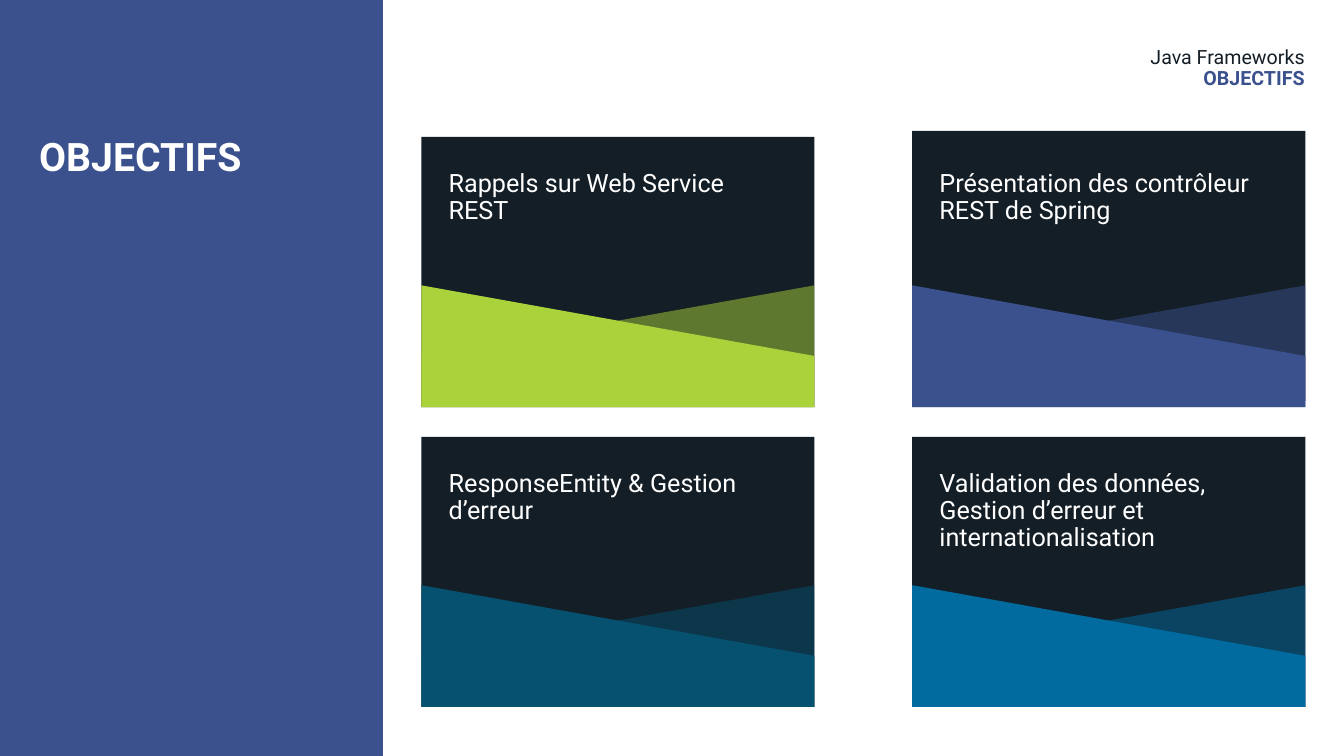
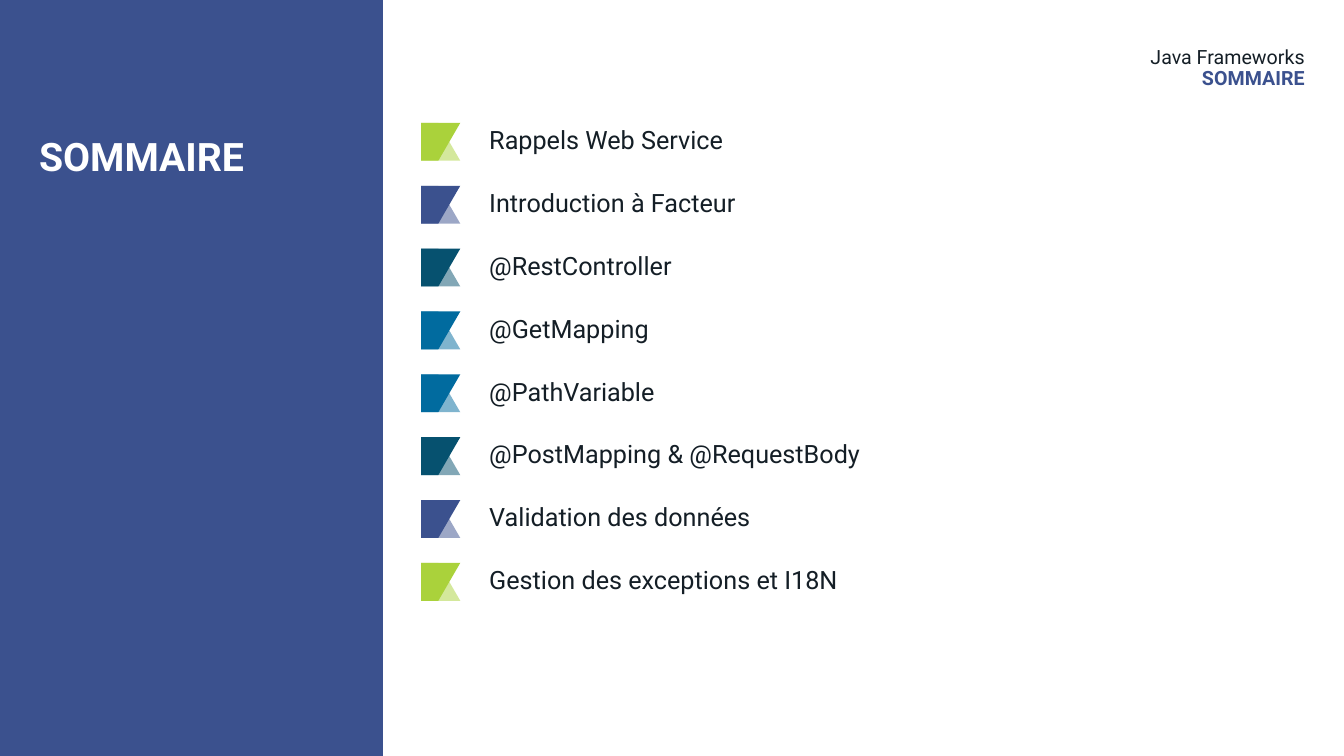
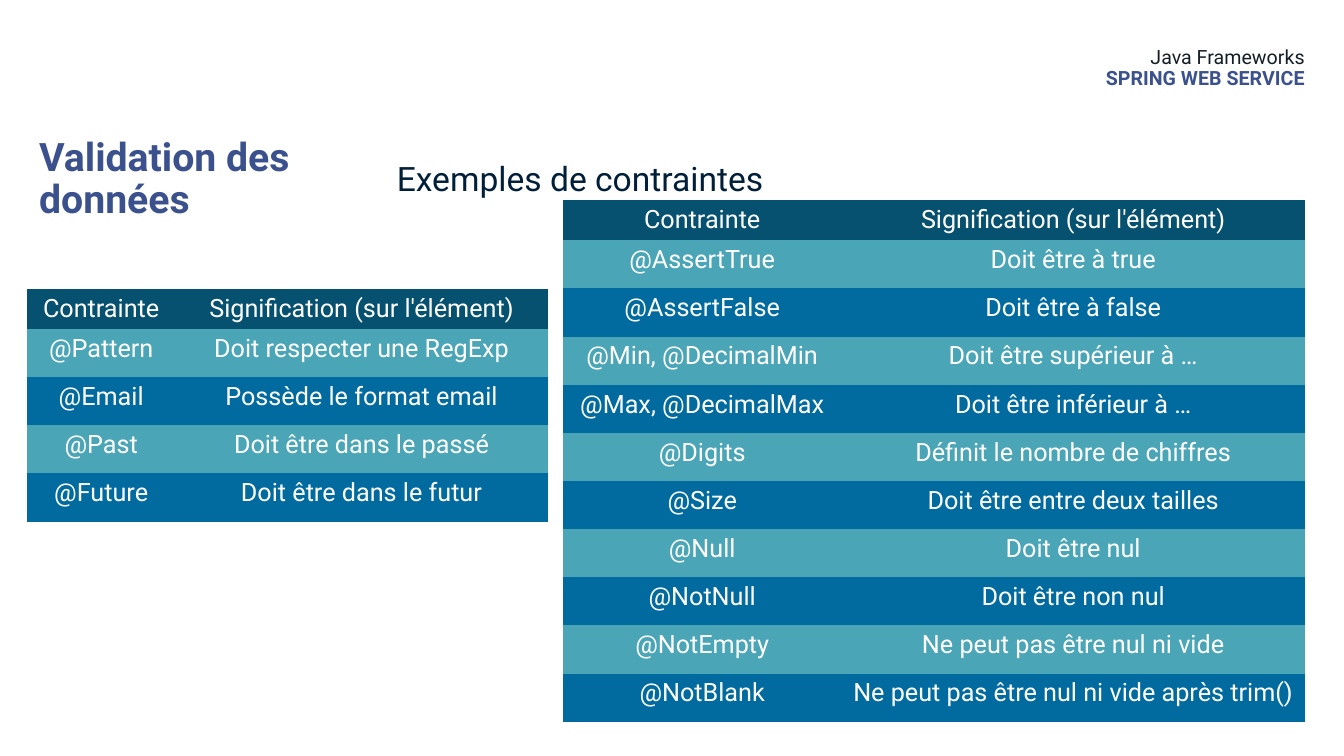
from lxml import etree
from pptx import Presentation
from pptx.dml.color import RGBColor
from pptx.enum import shapes, text
from pptx.oxml import ns
from pptx.util import Pt

# Content
COURSE = "Java Frameworks"
CARDS = [  # text, colour, lift of the dark panel
    ("Rappels sur Web Service REST", "lime", 0),
    ("Présentation des contrôleur REST de Spring", "blue", 4.3),
    ("ResponseEntity & Gestion d’erreur", "teal", 0),
    ("Validation des données, Gestion d’erreur et internationalisation", "azure", 0),
]
TOPICS = [
    ("Rappels Web Service", "lime"),
    ("Introduction à Facteur", "blue"),
    ("@RestController", "teal"),
    ("@GetMapping", "azure"),
    ("@PathVariable", "azure"),
    ("@PostMapping & @RequestBody", "teal"),
    ("Validation des données", "blue"),
    ("Gestion des exceptions et I18N", "lime"),
]
HEAD = ("Contrainte", "Signification (sur l'élément)")
VALUES = [
    ("@AssertTrue", "Doit être à true"),
    ("@AssertFalse", "Doit être à false"),
    ("@Min, @DecimalMin", "Doit être supérieur à …"),
    ("@Max, @DecimalMax", "Doit être inférieur à …"),
    ("@Digits", "Définit le nombre de chiffres"),
    ("@Size", "Doit être entre deux tailles"),
    ("@Null", "Doit être nul"),
    ("@NotNull", "Doit être non nul"),
    ("@NotEmpty", "Ne peut pas être nul ni vide"),
    ("@NotBlank", "Ne peut pas être nul ni vide après trim()"),
]
FORMATS = [
    ("@Pattern", "Doit respecter une RegExp"),
    ("@Email", "Possède le format email"),
    ("@Past", "Doit être dans le passé"),
    ("@Future", "Doit être dans le futur"),
]

# Shared look
HEX = {"blue": "3B518E", "dark": "141E26", "lime": "AAD23B", "teal": "06516F",
       "azure": "016B9F", "aqua": "4AA5B7", "navy": "011F39", "white": "FFFFFF"}
COL = {name: RGBColor.from_string(code) for name, code in HEX.items()}
RIGHT = text.PP_ALIGN.RIGHT
PLAIN = "{2D5ABB26-0587-4C30-8999-92F81FD0307C}"  # table style without grid

# Outlines as shares of their box
RISE = [(0, 0.58), (1, 0), (1, 1), (0, 1)]
FALL = [(0, 0), (1, 0.58), (1, 1), (0, 1)]
FLAG = [(0, 0), (1, 0), (0.44, 1), (0, 1)]
FOOT = [(0, 0), (0.44, 0), (1, 1), (0, 1)]

prs = Presentation()
prs.slide_width, prs.slide_height = Pt(960), Pt(540)


def style(para, size, color, bold=False):
    look = {"name": "Roboto", "size": Pt(size), "bold": bold}
    for key, value in look.items():
        setattr(para.font, key, value)
    para.font.color.rgb = COL[color]


def write(slide, box, lines, inset=True, align=None, space=0.9):
    """Each line is (words, size, colour, bold)."""
    frame = slide.shapes.add_textbox(*map(Pt, box)).text_frame
    frame.word_wrap = True
    if not inset:
        for side in ("left", "top", "right", "bottom"):
            setattr(frame, "margin_" + side, 0)
    for i, (words, *look) in enumerate(lines):
        para = frame.add_paragraph() if i else frame.paragraphs[0]
        para.text = words
        para.line_spacing = space
        para.alignment = align
        style(para, *look)


def paint(shape, color, alpha=None):
    shape.shadow.inherit = False
    shape.line.fill.background()
    shape.fill.solid()
    shape.fill.fore_color.rgb = COL[color]
    if alpha:
        tint = shape.fill._xPr.find(".//" + ns.qn("a:srgbClr"))
        etree.SubElement(tint, ns.qn("a:alpha")).set("val", str(alpha * 1000))


def panel(slide, box, color):
    paint(slide.shapes.add_shape(shapes.MSO_SHAPE.RECTANGLE, *map(Pt, box)), color)


def outline(slide, box, points, color, alpha=None):
    x, y, w, h = box
    spots = [(Pt(x + w * a), Pt(y + h * b)) for a, b in points]
    form = slide.shapes.build_freeform(*spots[0])
    form.add_line_segments(spots[1:], close=True)
    paint(form.convert_to_shape(), color, alpha)


def layers(slide, box, back, front, color):
    outline(slide, box, back, color, 50)
    outline(slide, box, front, color)


def start(title, label, band=True):
    slide = prs.slides.add_slide(prs.slide_layouts[6])
    if band:
        panel(slide, (0, 0, 273.6, 540), "blue")
    write(slide, (28, 98, 225, 348),
          [(title, 28, "white" if band else "blue", True)], inset=False)
    write(slide, (301, 34, 631, 42),
          [(COURSE, 14, "dark"), (label, 14, "blue", True)], inset=False, align=RIGHT)
    return slide


def grid(slide, left, top, widths, rows):
    rows = [HEAD] + rows
    tall = [28.6] + [34.4] * (len(rows) - 1)
    table = slide.shapes.add_table(len(rows), len(widths), Pt(left), Pt(top),
                                   Pt(sum(widths)), Pt(sum(tall))).table
    table.horz_banding = table.first_row = False
    table._tbl.tblPr.find(ns.qn("a:tableStyleId")).text = PLAIN
    for col, width in zip(table.columns, widths):
        col.width = Pt(width)
    for i, row in enumerate(rows):
        table.rows[i].height = Pt(tall[i])
        fill = ("azure", "aqua")[i % 2] if i else "teal"
        for j, words in enumerate(row):
            cell = table.cell(i, j)
            cell.fill.solid()
            cell.fill.fore_color.rgb = COL[fill]
            para = cell.text_frame.paragraphs[0]
            para.text = words
            para.alignment = text.PP_ALIGN.CENTER
            style(para, 18, "white")


# Goals: two by two cards
slide = start("OBJECTIFS", "OBJECTIFS")
for i, (words, color, lift) in enumerate(CARDS):
    x, y = 301 + i % 2 * 350.6, 97.8 + i // 2 * 214.2
    panel(slide, (x, y - lift, 280.8, 193), color="dark")
    layers(slide, (x, y + 106, 280.8, 87), RISE, FALL, color)
    write(slide, (x + 12.4, y + 20.6, 252, 47), [(words, 18, "white")])

# Contents: flags and topics
slide = start("SOMMAIRE", "SOMMAIRE")
for i, (words, color) in enumerate(TOPICS):
    y = 87.8 + i * 44.9
    layers(slide, (300.8, y, 28, 27), FOOT, FLAG, color)
    write(slide, (342.4, y, 520, 27), [(words, 18, "dark")])

# Constraints: two tables
slide = start("Validation des données", "SPRING WEB SERVICE", band=False)
write(slide, (276.4, 103.6, 656, 39), [("Exemples de contraintes", 24, "navy")], space=1.2)
grid(slide, 402.2, 142.8, (198.8, 331.2), VALUES)
grid(slide, 19.4, 206.2, (105.8, 266.2), FORMATS)

prs.save("out.pptx")
